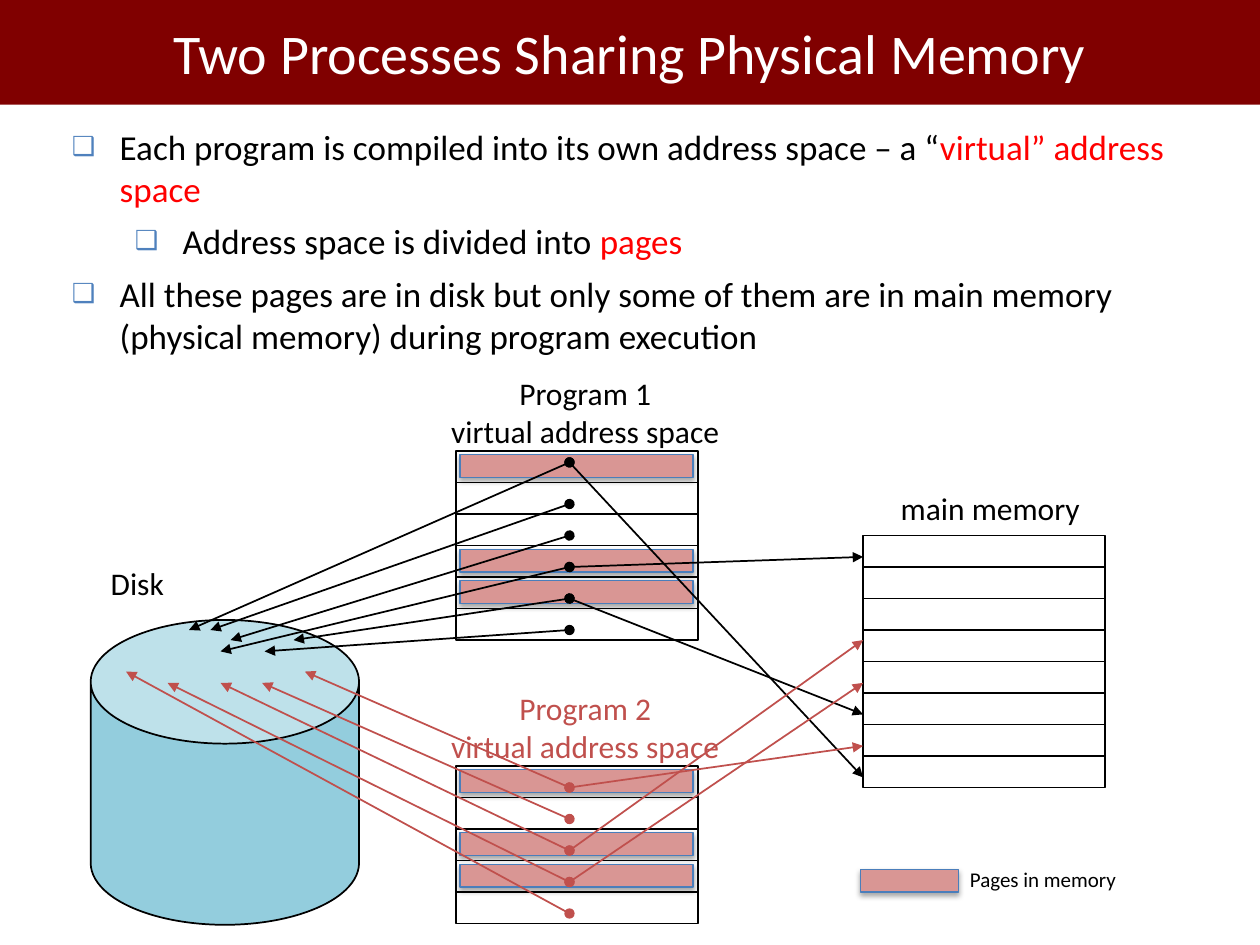
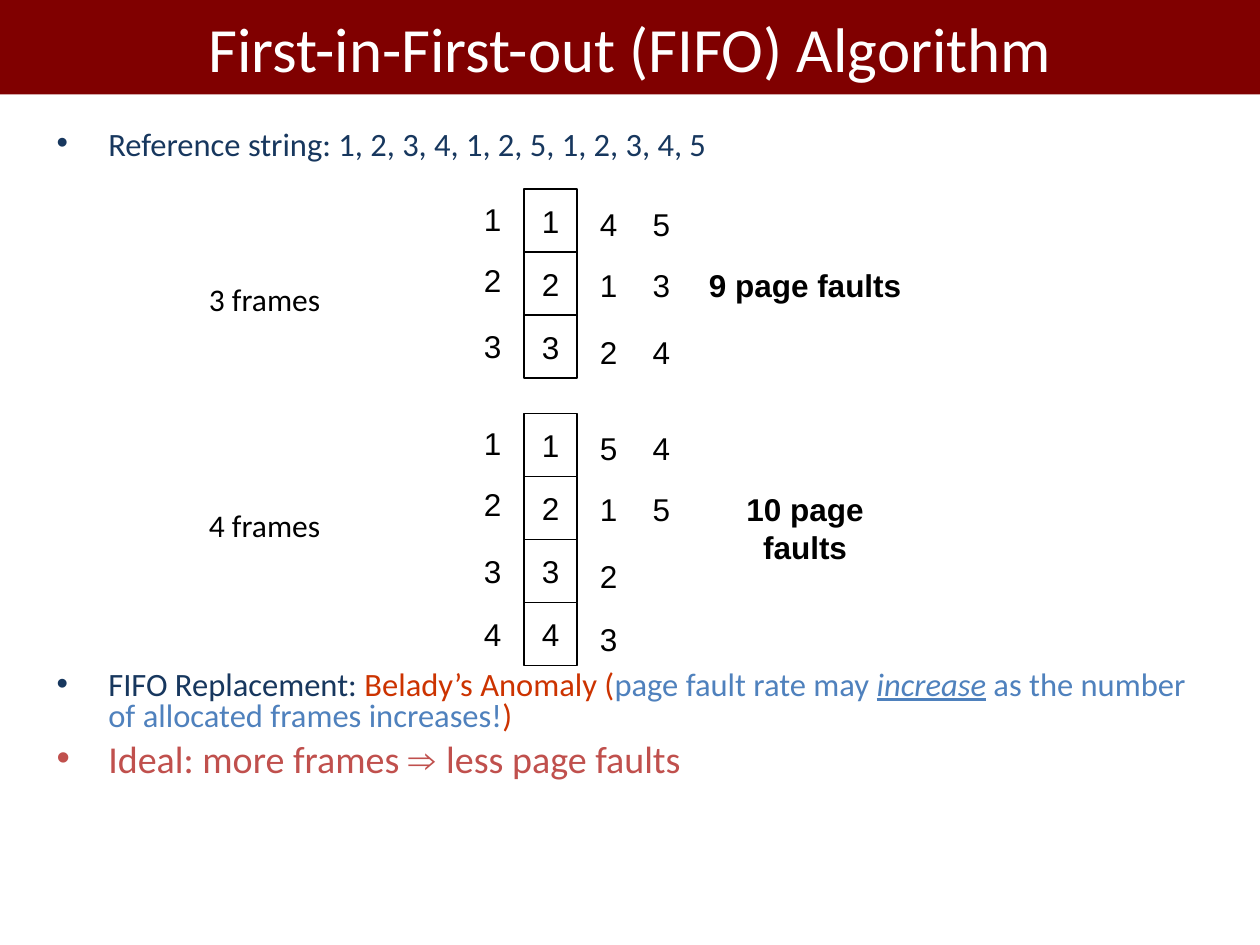
from lxml import etree
from pptx import Presentation
from pptx.dml.color import RGBColor
from pptx.enum.shapes import MSO_CONNECTOR as Link, MSO_SHAPE as Shape
from pptx.enum.text import MSO_ANCHOR as Anchor, MSO_AUTO_SIZE as Fit, PP_ALIGN as Align
from pptx.oxml.ns import qn
from pptx.util import Inches, Pt

BAND, PINK, EDGE = "800000", "D99694", "4A7EBB"
BLACK, WHITE, RED = "000000", "FFFFFF", "FF0000"
BLUE, NAVY, ROSE, RUST = "4F81BD", "17375E", "C0504D", "CC3300"
ROW, WIDE, LEFT, MAIN = 0.25, 1.92, 3.62, 6.85
DOT = 4.52


def rgb(code):
    return RGBColor.from_string(code)


def add(root, tag, **attrs):
    node = etree.SubElement(root, qn(tag))
    for key, val in attrs.items():
        node.set(key, str(val))
    return node


def place(item, left, top, width, height):
    item.left, item.top = Inches(left), Inches(top)
    item.width, item.height = Inches(width), Inches(height)


def write(para, text, size, color, font="Calibri", bold=None, slant=None):
    run = para.add_run()
    run.text = text
    face = run.font
    face.name, face.size, face.bold = font, Pt(size), bold
    face.italic = face.underline = slant
    face.color.rgb = rgb(color)


def title(slide, text, size, height):
    band = slide.shapes.title
    place(band, 0, 0, 10, height)
    band.fill.solid()
    band.fill.fore_color.rgb = rgb(BAND)
    frame = band.text_frame
    frame.auto_size, frame.vertical_anchor = Fit.NONE, Anchor.MIDDLE
    para = frame.paragraphs[0]
    para.alignment = Align.CENTER
    write(para, text, size, WHITE)


def body(slide, box, pad):
    hold = slide.placeholders[1]
    place(hold, *box)
    frame = hold.text_frame
    frame.auto_size, frame.vertical_anchor = Fit.NONE, Anchor.TOP
    frame.margin_left = frame.margin_right = Inches(pad)
    frame.margin_top = frame.margin_bottom = Inches(pad / 2)
    return frame


def bullet(frame, runs, size, mark, tint, before=0, level=0, hang=0.38, scale=100, line=1.0):
    para = frame.paragraphs[0]
    if para.runs:
        para = frame.add_paragraph()
    para.level = level
    para.space_before, para.line_spacing = Pt(before), line
    props = para._p.get_or_add_pPr()
    props.set("marL", str(Inches(hang + level / 2)))
    props.set("indent", str(-Inches(hang)))
    add(add(props, "a:buClr"), "a:srgbClr", val=tint)
    add(props, "a:buSzPct", val=scale * 1000)
    add(props, "a:buFont", typeface="Arial")
    add(props, "a:buChar", char=mark)
    for text, color, *rest in runs:
        write(para, text, size, color, *rest)


def label(slide, box, lines, size=18, color=BLACK, font="Calibri", bold=None, align=Align.CENTER):
    note = slide.shapes.add_textbox(*map(Inches, box))
    frame = note.text_frame
    frame.word_wrap, frame.auto_size = False, Fit.SHAPE_TO_FIT_TEXT
    for count, text in enumerate(lines):
        para = frame.add_paragraph() if count else frame.paragraphs[0]
        para.alignment = align
        write(para, text, size, color, font, bold)


def block(slide, kind, box, fill=None, edge=BLACK, weight=1):
    item = slide.shapes.add_shape(kind, *map(Inches, box))
    item.shadow.inherit = False
    if fill:
        item.fill.solid()
        item.fill.fore_color.rgb = rgb(fill)
    else:
        item.fill.background()
    item.line.color.rgb = rgb(edge)
    item.line.width = Pt(weight)
    return item


def page(slide, left, top, width=1.85):
    item = block(slide, Shape.RECTANGLE, (left, top, width, 0.18), PINK, EDGE, 0.75)
    effect = item._element.spPr.find(qn("a:effectLst"))
    shade = add(effect, "a:outerShdw", blurRad=Pt(3.1), dist=Pt(1.8), dir=5400000, rotWithShape=0)
    add(add(shade, "a:srgbClr", val=BLACK), "a:alpha", val=35000)


def line(slide, start, end, color=BLACK, arrow=False):
    item = slide.shapes.add_connector(Link.STRAIGHT, *map(Inches, (*start, *end)))
    item.line.color.rgb = rgb(color)
    item.line.width = Pt(1)
    if arrow:
        stroke = item.line._get_or_add_ln()
        add(stroke, "a:headEnd", type="oval")
        add(stroke, "a:tailEnd", type="triangle")
    add(item._element.spPr, "a:effectLst")


def stack(slide, left, top, rows, used=()):
    for row in used:
        page(slide, left + 0.03, top + 0.03 + ROW * row)
    block(slide, Shape.RECTANGLE, (left, top, WIDE, ROW * rows))
    for row in range(1, rows):
        y = top + ROW * row
        line(slide, (left, y), (left + WIDE, y))


def program(slide, name, top, color, dots, disk, main):
    label(slide, (3.48, top - 0.66, 2.33, 0.7), [name, "virtual address space"], color=color)
    for row, y in main.items():
        line(slide, (DOT, dots[row]), (MAIN, y), color, True)
    for y, end in zip(dots, disk):
        line(slide, (DOT, y), end, color, True)


def share(slide):
    title(slide, "Two Processes Sharing Physical Memory", 32, 0.83)
    frame = body(slide, (0.5, 0.96, 8.92, 2.19), 0.07)
    items = [
        (0, [("Each program is compiled into its own address space – a “", BLACK),
             ("virtual” address space", RED)]),
        (1, [("Address space is divided into ", BLACK), ("pages", RED)]),
        (0, [("All these pages are in disk but only some of them are in main memory "
              "(physical memory) during program execution", BLACK)]),
    ]
    for count, (level, runs) in enumerate(items):
        bullet(frame, runs, 20, "❑", BLUE, 6 if count else 0, level, scale=75)

    stack(slide, LEFT, 3.58, 6, (0, 3, 4))
    stack(slide, MAIN, 4.25, 8)
    disk = block(slide, Shape.CAN, (0.72, 4.92, 2.13, 2.42), "93CDDD")
    disk.adjustments[0] = 0.461
    stack(slide, LEFT, 6.08, 5, (0, 2, 3))
    program(slide, "Program 1", 3.58, BLACK, [3.67] + [3.75 + ROW * row for row in range(1, 6)],
            [(1.5, 5), (1.67, 5), (1.83, 5.08), (1.75, 5.17), (2.33, 5.08), (2.1, 5.17)],
            {0: 6.17, 3: 4.42, 4: 5.67})
    program(slide, "Program 2", 6.08, ROSE, [6.25 + ROW * row for row in range(5)],
            [(2.42, 5.33), (2.08, 5.42), (1.75, 5.42), (1.33, 5.42), (1, 5.33)],
            {0: 5.92, 2: 5.08, 3: 5.42})
    label(slide, (7.05, 3.83, 1.62, 0.4), ["main memory"], align=Align.LEFT)
    label(slide, (0.78, 4.43, 0.62, 0.4), ["Disk"], align=Align.LEFT)
    page(slide, 6.83, 6.9, 0.78)
    label(slide, (7.6, 6.83, 1.36, 0.3), ["Pages in memory"], 12, align=Align.LEFT)


def digits(slide, left, top, text):
    for step, char in zip((0, 0.48, 1.01, 1.51), text):
        label(slide, (left, top + step, 0.34, 0.4), [char], font="Arial")


def faults(slide, top, first, later, note, spot):
    for row, char in enumerate(first):
        cell = block(slide, Shape.RECTANGLE, (4.16, top + row / 2, 0.42, 0.5), WHITE, weight=0.75)
        frame = cell.text_frame
        frame.word_wrap, frame.vertical_anchor = False, Anchor.MIDDLE
        para = frame.paragraphs[0]
        para.alignment = Align.CENTER
        write(para, char, 18, BLACK, "Arial")
    digits(slide, 3.74, top + 0.04, first)
    for col, text in enumerate(later):
        digits(slide, 4.66 + 0.42 * col, top + 0.08, text)
    label(slide, (spot, top + 0.56, 1.8, 0.4), [note], font="Arial", bold=True)


def fifo(slide):
    title(slide, "First-in-First-out (FIFO) Algorithm", 36, 0.75)
    frame = body(slide, (0.35, 0.99, 9.21, 6.15), 0.1)
    items = [
        (0, 18.6, NAVY, [("Reference string: 1, 2, 3, 4, 1, 2, 5, 1, 2, 3, 4, 5", NAVY)]),
        (291, 18.6, NAVY, [("FIFO Replacement: ", NAVY), ("Belady’s Anomaly (", RUST),
                           ("page fault rate may ", BLUE),
                           ("increase", BLUE, "Calibri", None, True),
                           (" as the number of allocated frames increases!", BLUE), (")", RUST)]),
        (5.6, 21.7, ROSE, [("Ideal: more frames ", ROSE), ("⇒ ", ROSE, "Arial"),
                           ("less page faults", ROSE)]),
    ]
    for before, size, tint, runs in items:
        bullet(frame, runs, size, "•", tint, before, hang=0.41, line=0.8)
    faults(slide, 1.5, "123", ("412", "534"), "9 page faults", 5.49)
    faults(slide, 3.28, "1234", ("5123", "45"), "10 page faults", 5.49)
    for top, text in ((2.17, "3 frames"), (3.97, "4 frames")):
        label(slide, (1.56, top, 1.08, 0.4), [text], align=Align.LEFT)


def main():
    deck = Presentation()
    deck.slide_width, deck.slide_height = Inches(10), Inches(7.5)
    for build in (share, fifo):
        build(deck.slides.add_slide(deck.slide_layouts[1]))
    deck.save("out.pptx")


if __name__ == "__main__":
    main()
